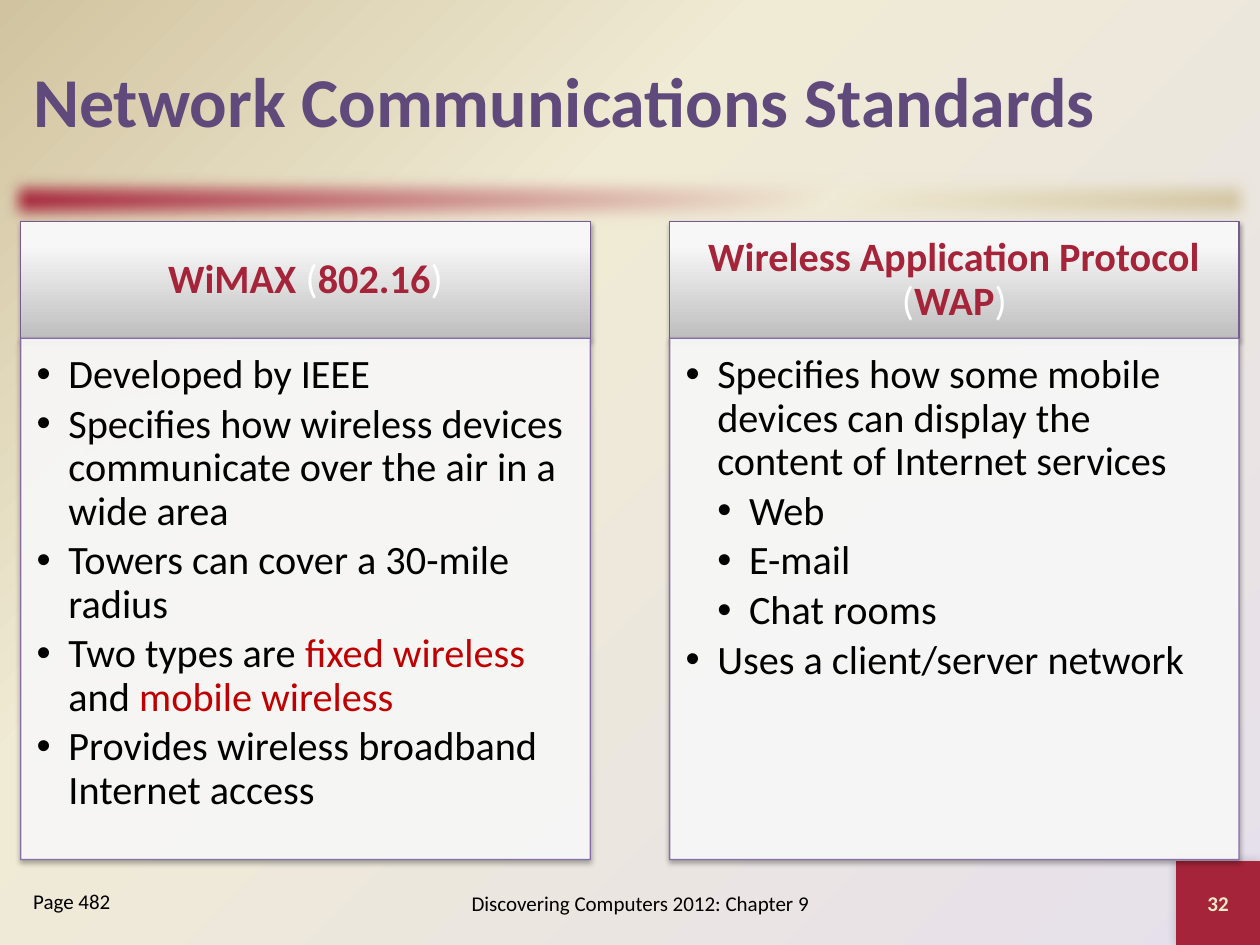
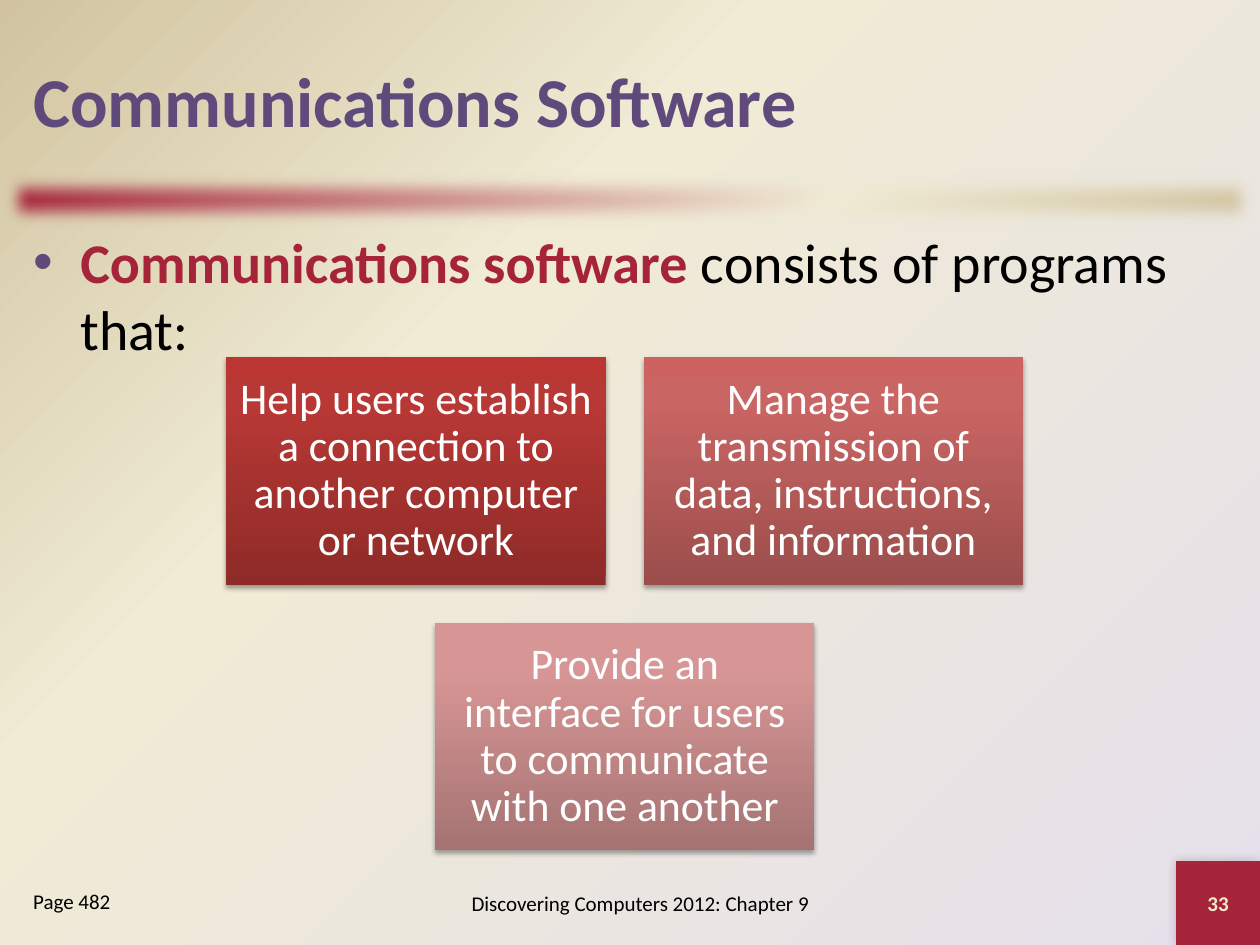
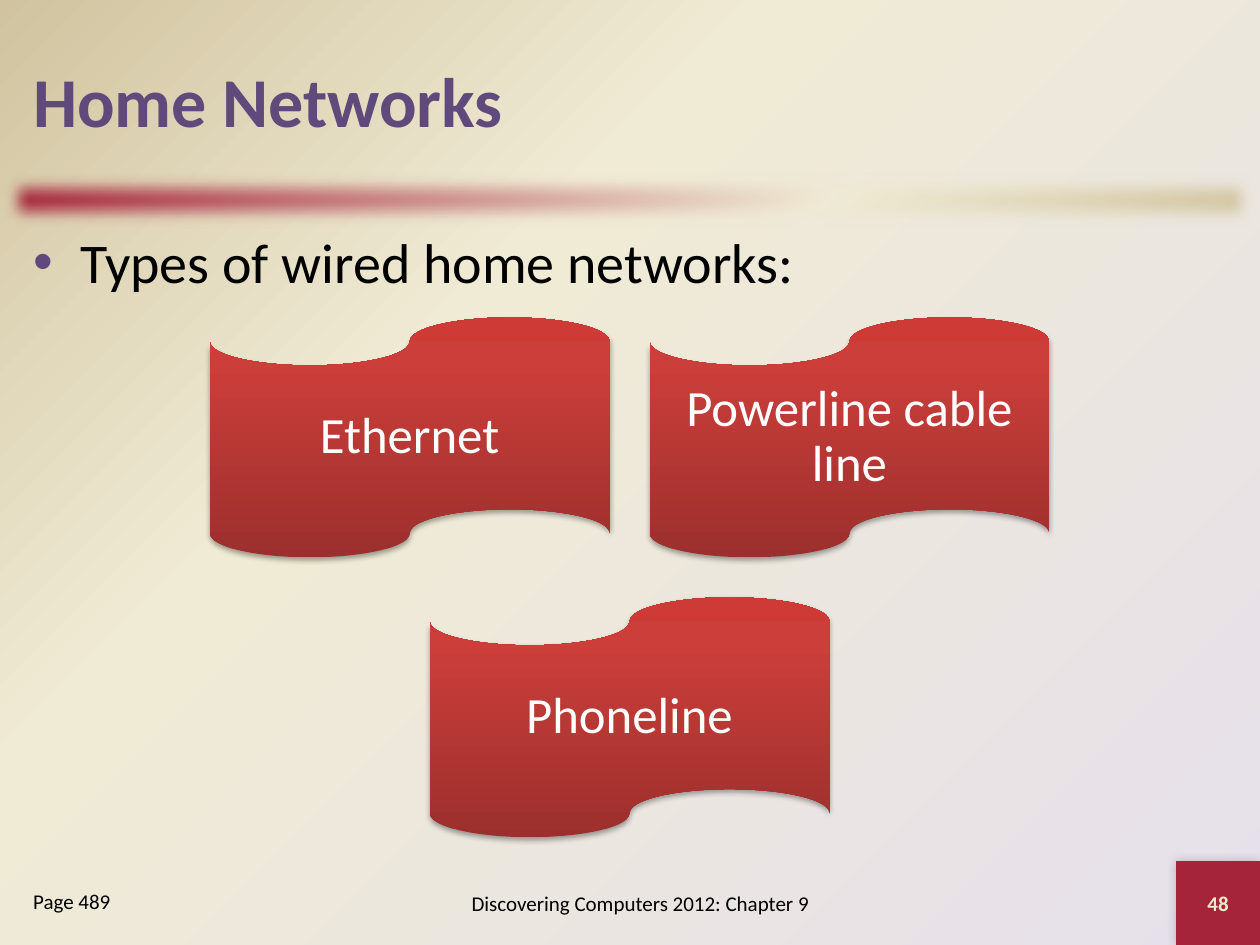
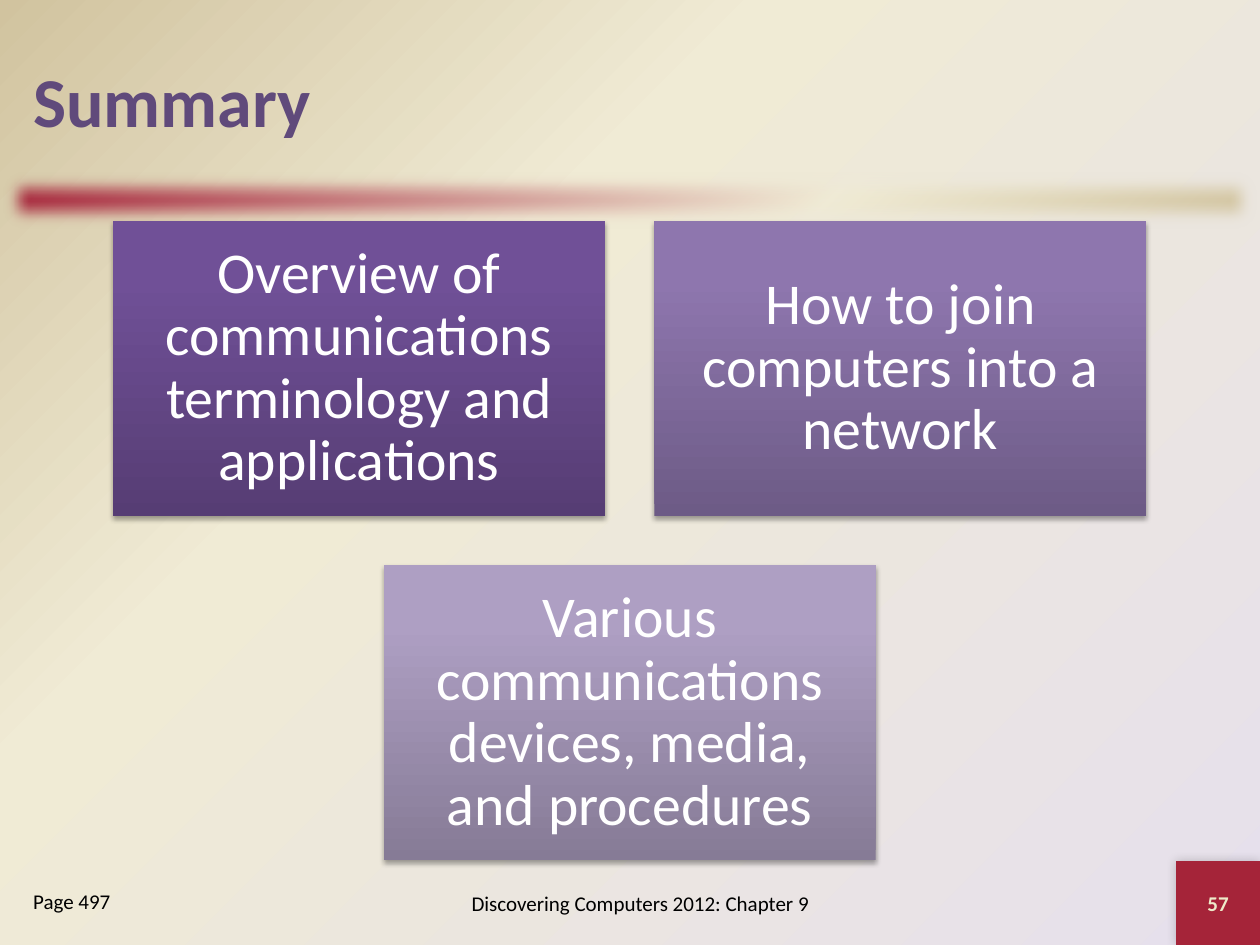
from dataclasses import dataclass

from pptx import Presentation, oxml, util as u
from pptx.dml.color import RGBColor
from pptx.enum import shapes, text
from pptx.oxml import ns


@dataclass(frozen=True)
class Theme:
    font: str = "Calibri"
    # Colours
    title: str = "604A7B"
    accent: str = "A52439"
    highlight: str = "C00000"
    ink: str = "000000"
    white: str = "FFFFFF"
    number: str = "EEEBCA"
    header_line: str = "745B93"
    panel_line: str = "8064A2"
    # Gradients, as (position, colour) stops
    backdrop: tuple = ((0, "E6E0EC"), (65, "F0EBD5"), (100, "D1C39F"))
    bar: tuple = ((0, "A52439"), (65, "F0EBD5"), (100, "D1C39F"))
    silver: tuple = ((0, "BEBEBE"), (80, "F7F7F7"), (100, "F8F8F8"))
    tape: tuple = ((0, "9C2F2D"), (80, "CB3E3A"), (100, "CE3B37"))
    reds: tuple = (
        ((0, "8E2B28"), (80, "B83835"), (100, "BB3632")),
        ((0, "9B4E4C"), (80, "C96563"), (100, "CC6361")),
        ((0, "A57373"), (80, "D79695"), (100, "D99594")),
    )
    purples: tuple = (
        ((0, "563D74"), (80, "705097"), (100, "704F99")),
        ((0, "6D5B86"), (80, "8E76AE"), (100, "8E75B0")),
        ((0, "867B96"), (80, "AE9FC3"), (100, "AE9FC4")),
    )
    # Type sizes
    title_size: int = 40
    body_size: int = 32
    panel_size: int = 23
    footer_size: int = 12


THEME = Theme()
FOOTER = "Discovering Computers 2012: Chapter 9"
MARGIN, CONTENT_WIDTH = 0.42, 24.56
CONTENT_TOP = 4.45
DEFAULT_INSETS = (0.25, 0.13, 0.25, 0.13)
CENTER = text.PP_ALIGN.CENTER
MIDDLE = text.MSO_ANCHOR.MIDDLE
RECT = shapes.MSO_SHAPE.RECTANGLE
TAPE = shapes.MSO_SHAPE.FLOWCHART_PUNCHED_TAPE


def xml(tag, attributes="", inner=""):
    return oxml.parse_xml(f"<a:{tag} {ns.nsdecls('a')} {attributes}>{inner}</a:{tag}>")


def paint_gradient(fill, owner, stops, direction):
    """Fill the owner with any number of stops; direction is an XML element."""
    fill.gradient()
    gradient = next(owner.iter(ns.qn("a:gradFill")))
    for child in list(gradient):
        gradient.remove(child)
    marks = "".join(
        f'<a:gs pos="{place * 1000}"><a:srgbClr val="{colour}"/></a:gs>'
        for place, colour in stops
    )
    gradient.append(xml("gsLst", inner=marks))
    gradient.append(direction)


def linear(degrees):
    return xml("lin", f'ang="{degrees * 60000}" scaled="0"')


def fade(owner, percent):
    for colour in owner.iter(ns.qn("a:srgbClr")):
        colour.append(xml("alpha", f'val="{percent * 1000}"'))


class Deck:
    def __init__(self, theme):
        self.theme = theme
        self.show = Presentation()
        self.show.slide_width, self.show.slide_height = u.Cm(25.4), u.Cm(19.05)
        self.slide = None

    def new_slide(self, title, number, page):
        """Start a slide with the shared backdrop, bar, title and footer."""
        t = self.theme
        self.slide = self.show.slides.add_slide(self.show.slide_layouts[6])
        corner = xml("path", 'path="circle"',
                     '<a:fillToRect l="100000" t="100000" r="0" b="0"/>')
        paint_gradient(self.slide.background.fill, self.slide.element, t.backdrop, corner)

        bar = self.shape((0, 3.39, 25.4, 1.27), t.bar, angle=45)
        self.effect(bar, xml("softEdge", 'rad="127000"'))
        block = self.shape((23.71, 17.36, 1.69, 1.69), t.accent)
        self.shadow(block, 20, 6, 0, 225)
        self.put_text(block, [str(number)], t.footer_size, t.number, True, CENTER, MIDDLE)

        self.text_box((MARGIN, 0.42, CONTENT_WIDTH, 3.18), title, t.title_size,
                      t.title, bold=True, anchor=MIDDLE)
        self.text_box((7.62, 17.57, 10.58, 1.27), FOOTER, t.footer_size,
                      align=CENTER, anchor=MIDDLE)
        self.text_box((MARGIN, 17.78, 4.66, 1.27), page, t.footer_size)

    # Basic elements
    def shape(self, box, fill, kind=RECT, angle=270, line=None):
        shape = self.slide.shapes.add_shape(kind, *map(u.Cm, box))
        shape.shadow.inherit = False
        if isinstance(fill, str):
            shape.fill.solid()
            shape.fill.fore_color.rgb = RGBColor.from_string(fill)
        else:
            paint_gradient(shape.fill, shape.element, fill, linear(angle))
        if line:
            shape.line.color.rgb = RGBColor.from_string(line)
            shape.line.width = u.Pt(0.75)
        else:
            shape.line.fill.background()
        return shape

    def effect(self, shape, element):
        shape.element.spPr.find(ns.qn("a:effectLst")).append(element)

    def shadow(self, shape, alpha=35, blur=3.1, distance=1.8, angle=90):
        self.effect(shape, xml(
            "outerShdw",
            f'blurRad="{u.Pt(blur)}" dist="{u.Pt(distance)}" '
            f'dir="{angle * 60000}" rotWithShape="0"',
            f'<a:srgbClr val="000000"><a:alpha val="{alpha * 1000}"/></a:srgbClr>'))

    def put_text(self, holder, lines, size, colour, bold=False, align=text.PP_ALIGN.LEFT,
                 anchor=text.MSO_ANCHOR.TOP, insets=DEFAULT_INSETS, spacing=None):
        """Each line is a string or a list of (words, colour, bold) parts."""
        frame = holder.text_frame
        frame.word_wrap = True
        frame.vertical_anchor = anchor
        (frame.margin_left, frame.margin_top,
         frame.margin_right, frame.margin_bottom) = map(u.Cm, insets)
        for index, line in enumerate(lines):
            paragraph = frame.add_paragraph() if index else frame.paragraphs[0]
            paragraph.alignment = align
            if spacing:
                paragraph.line_spacing = spacing
            parts = [(line, colour, bold)] if isinstance(line, str) else line
            for words, part_colour, part_bold in parts:
                run = paragraph.add_run()
                run.text = words
                run.font.name, run.font.size = self.theme.font, u.Pt(size)
                run.font.bold = part_bold
                run.font.color.rgb = RGBColor.from_string(part_colour)
        return frame.paragraphs

    def text_box(self, box, line, size, colour=None, **style):
        holder = self.slide.shapes.add_textbox(*map(u.Cm, box))
        return self.put_text(holder, [line], size, colour or self.theme.ink, **style)

    def bullet(self, paragraph, hanging, level=1, colour=None):
        properties = paragraph._p.get_or_add_pPr()
        properties.set("marL", str(u.Cm(hanging * level)))
        properties.set("indent", str(-u.Cm(hanging)))
        if colour:
            properties.append(xml("buClr", inner=f'<a:srgbClr val="{colour}"/>'))
        properties.append(xml("buFont", 'typeface="Arial"'))
        properties.append(xml("buChar", 'char="•"'))

    # Composed elements
    def lead(self, line):
        paragraphs = self.text_box((MARGIN, CONTENT_TOP, CONTENT_WIDTH, 12.9), line,
                                   self.theme.body_size)
        self.bullet(paragraphs[0], 0.95, colour=self.theme.title)

    def panel(self, left, heading, points):
        """A silver heading above a list of (level, line) points."""
        t, width = self.theme, 11.48
        header = self.shape((left, 4.47, width, 2.36), t.silver, line=t.header_line)
        self.shadow(header)
        self.put_text(header, [heading], t.panel_size, t.accent, True, CENTER, MIDDLE,
                      (0.45, 0.26, 0.45, 0.26), 0.9)

        body = self.shape((left, 6.82, width, 10.51), t.white, line=t.panel_line)
        fade(body.element.spPr, 90)
        self.shadow(body)
        paragraphs = self.put_text(body, [line for _, line in points], t.panel_size, t.ink,
                                   insets=(0.32, 0.32, 0.45, 0.5), spacing=0.9)
        for paragraph, (level, _) in zip(paragraphs, points):
            paragraph.space_after = u.Pt(3.5)
            self.bullet(paragraph, 0.64, level)

    def trio(self, left, top, width, size, labels, fills, kind=RECT):
        """Two cards side by side and a third centred below them."""
        height, step = width * 0.6, width * 1.1
        row = top + height + width * 0.1
        places = ((left, top), (left + step, top), (left + step / 2, row))
        for (x, y), label, fill in zip(places, labels, fills):
            card = self.shape((x, y, width, height), fill, kind)
            self.shadow(card)
            self.put_text(card, [label], size, self.theme.white, False, CENTER, MIDDLE,
                          (size / 95,) * 4, 0.9)


def main():
    t = THEME
    deck = Deck(t)

    # Network communications standards
    deck.new_slide("Network Communications Standards", 32, "Page 482")
    deck.panel(MARGIN, [
        ("WiMAX", t.accent, True), (" (", t.white, False),
        ("802.16", t.accent, True), (")", t.white, False),
    ], [
        (1, "Developed by IEEE"),
        (1, "Specifies how wireless devices communicate over the air in a wide area"),
        (1, "Towers can cover a 30-mile radius"),
        (1, [("Two types are ", t.ink, False), ("fixed wireless ", t.highlight, False),
             ("and ", t.ink, False), ("mobile wireless", t.highlight, False)]),
        (1, "Provides wireless broadband Internet access"),
    ])
    deck.panel(13.5, [
        ("Wireless Application Protocol ", t.accent, True), ("(", t.white, False),
        ("WAP", t.accent, True), (")", t.white, False),
    ], [
        (1, "Specifies how some mobile devices can display the content of Internet services"),
        (2, "Web"),
        (2, "E-mail"),
        (2, "Chat rooms"),
        (1, "Uses a client/server network"),
    ])

    # Communications software
    deck.new_slide("Communications Software", 33, "Page 482")
    deck.lead([("Communications software ", t.accent, True),
               ("consists of programs that:", t.ink, False)])
    deck.trio(4.56, 7.2, 7.65, 25, [
        "Help users establish a connection to another computer or network",
        "Manage the transmission of data, instructions, and information",
        "Provide an interface for users to communicate with one another",
    ], t.reds)

    # Home networks
    deck.new_slide("Home Networks", 48, "Page 489")
    deck.lead("Types of wired home networks:")
    deck.trio(4.23, 6.4, 8.06, 29, ["Ethernet", "Powerline cable line", "Phoneline"],
              [t.tape] * 3, TAPE)

    # Summary
    deck.new_slide("Summary", 57, "Page 497")
    deck.trio(2.28, CONTENT_TOP, 9.92, 33, [
        "Overview of communications terminology and applications",
        "How to join computers into a network",
        "Various communications devices, media, and procedures",
    ], t.purples)

    deck.show.save("out.pptx")


if __name__ == "__main__":
    main()
